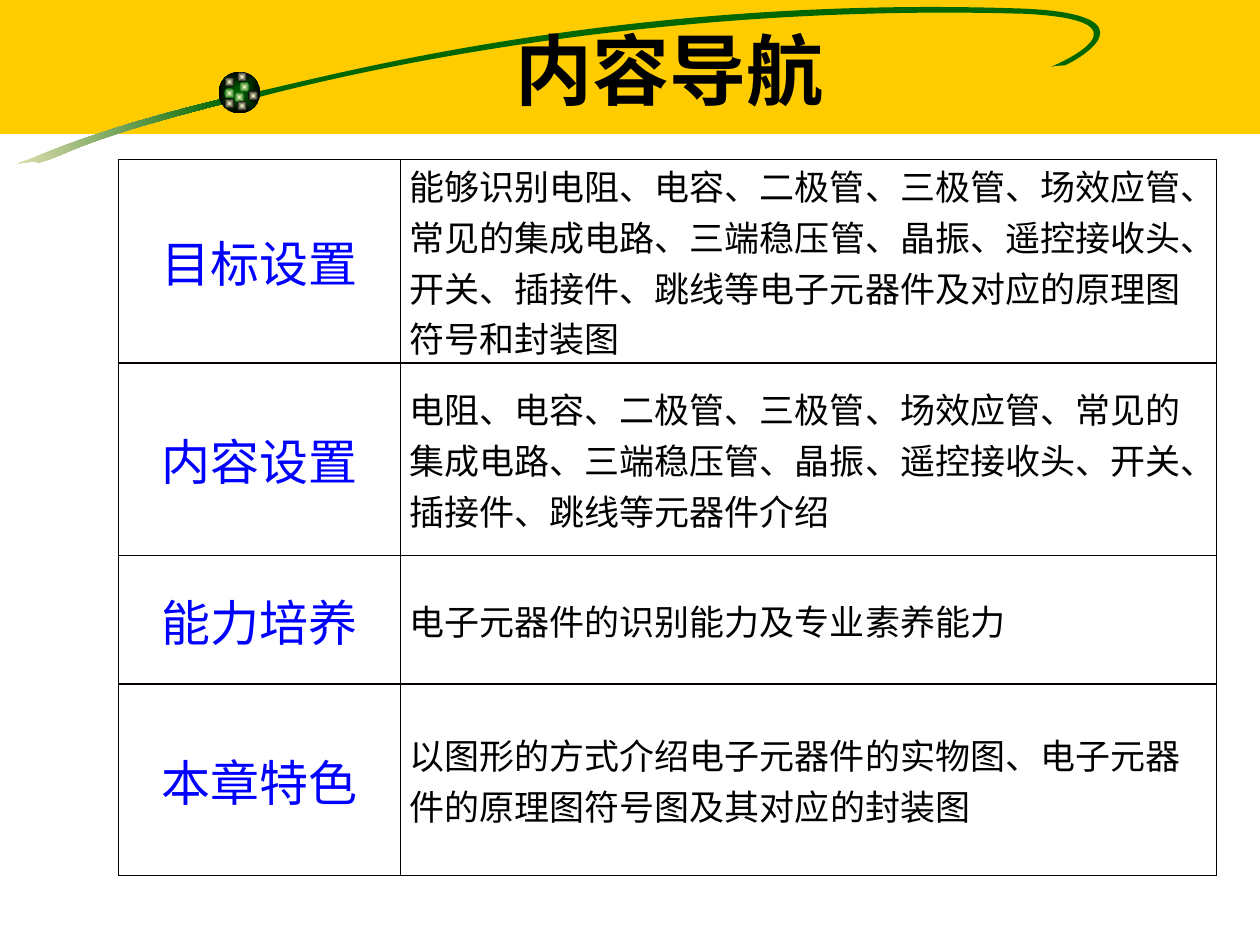
import math
import pptx
import pptx.util
import pptx.dml.color
import pptx.enum.lang
import pptx.enum.shapes
import pptx.enum.text
import pptx.oxml
import pptx.oxml.ns

Pt = pptx.util.Pt
RGB = pptx.dml.color.RGBColor
KIND = pptx.enum.shapes.MSO_SHAPE
ALIGN = pptx.enum.text.PP_ALIGN
MIDDLE = pptx.enum.text.MSO_ANCHOR.MIDDLE
CHINESE = pptx.enum.lang.MSO_LANGUAGE_ID.SIMPLIFIED_CHINESE
qn = pptx.oxml.ns.qn
NS = 'xmlns:a="http://schemas.openxmlformats.org/drawingml/2006/main"'

GOLD = RGB(0xFF, 0xCC, 0x00)
GREEN = RGB(0x00, 0x66, 0x00)
CREAM = RGB(0xF5, 0xEB, 0xC1)
PALE = RGB(0xFF, 0xFF, 0xCC)
BLACK = RGB(0, 0, 0)
BLUE = RGB(0, 0, 0xFF)
BORDER = RGB(0x08, 0, 0)
SERIF = "Times New Roman"
SANS = "Noto Sans CJK SC"

TITLE = "内容导航"
ROWS = [
    ("目标设置", "能够识别电阻、电容、二极管、三极管、场效应管、常见|的|集成电路、三端稳压管、晶振、"
     "遥控接收头、开关、插接件、跳线等电子元器件及对应的原理图符号和封装|图", 116.3),
    ("内容设置", "电阻、电容、二极管、三极管、场效应管、常见|的|集成电路、三端稳压管、晶振、"
     "遥控接收头、开关、插接件、跳线等元器件介绍", 110),
    ("能力培养", "电子元器件的识别能力及专业素养能力", 73.5),
    ("本章特色", "以图形的方式介绍电子元器件的实物图、|电子元器件的原理图|符号图及其对应的封装|图", 109.4),
]
COLS = (161.3, 466.3)
TURN = 8.5
TAIL = [(128.2, 56.2), (65.5, 71.3, 35.3, 83.5, 18, 90.7),
        (0.7, 96.5, 18.7, 90.7, 22.3, 92.9),
        (41, 87.8, 41, 81.4, 128.9, 59), (128.9, 59, 128.2, 56.2, 128.2, 56.2)]
TAIL_BOX = (-2.2, 65.5, 132.5, 21.6)
SWOOSH = [(145.4, 52.6), (177.1, 46.8, 349.9, -3.6, 586.1, 5),
          (660.2, 8.6, 617, 33.8, 608.4, 37.4),
          (608.4, 37.4, 603.4, 37.4, 600.5, 38.2),
          (607.7, 35.3, 660.2, 11.5, 585.4, 7.9),
          (394.6, 2.2, 230.4, 33.8, 148.3, 55.4),
          (148.3, 55.4, 145.4, 52.6, 145.4, 52.6)]
SWOOSH_BOX = (144.7, -10.8, 515.5, 78.5)
BALL = (124.9, 41, 23.8)
DOT = 5.8
DOTS = [(136.8, 46.8, GREEN), (128.2, 43.9, BLACK), (128.2, 50.4, GREEN),
        (133.9, 52.6, GREEN), (141.8, 51.8, BLACK), (135.4, 57.6, BLACK),
        (128.2, 56.2, BLACK), (135.4, 41, BLACK)]


def plain(shape):
    shape.shadow.inherit = False
    shape.line.fill.background()


def paint(shape, color):
    shape.fill.solid()
    shape.fill.fore_color.rgb = color


def blend(shape, first, last, radial=False):
    shape.fill.gradient()
    shape.fill.gradient_angle = 0
    for stop, color, place in zip(shape.fill.gradient_stops, (first, last), (0, 1)):
        stop.color.rgb = color
        stop.position = place
    if radial:
        lin = shape._element.spPr.find(qn("a:gradFill")).find(qn("a:lin"))
        lin.getparent().replace(lin, pptx.oxml.parse_xml(
            f'<a:path {NS} path="shape"><a:fillToRect l="50000" t="50000" '
            'r="50000" b="50000"/></a:path>'))


def curve(moves, box):
    left, top, wide, tall = box
    cos, sin = math.cos(math.radians(TURN)), math.sin(math.radians(TURN))

    def local(x, y):
        dx, dy = x - left - wide / 2, y - top - tall / 2
        return Pt(wide / 2 + dx * cos - dy * sin), Pt(tall / 2 + dx * sin + dy * cos)

    steps = [[local(*move[i:i + 2]) for i in range(0, len(move), 2)] for move in moves]
    pen = slide.shapes.build_freeform(*steps[0][0])
    pen.add_line_segments([step[-1] for step in steps[1:]], close=True)
    shape = pen.convert_to_shape()
    track = next(shape._element.iter(qn("a:path")))
    track.set("w", str(Pt(wide)))
    track.set("h", str(Pt(tall)))
    start = track[0][0]
    start.set("x", str(steps[0][0][0]))
    start.set("y", str(steps[0][0][1]))
    for line, step in zip(list(track)[1:], steps[1:]):
        pts = "".join(f'<a:pt x="{x}" y="{y}"/>' for x, y in step)
        track.replace(line, pptx.oxml.parse_xml(
            f'<a:cubicBezTo {NS}>{pts}</a:cubicBezTo>'))
    shape.left, shape.top, shape.width, shape.height = map(Pt, box)
    shape.rotation = 360 - TURN
    plain(shape)
    return shape


def disc(x, y, size, first, last):
    shape = slide.shapes.add_shape(KIND.OVAL, Pt(x), Pt(y), Pt(size), Pt(size))
    plain(shape)
    blend(shape, first, last, True)


def style(run, face, size, color, bold=False):
    font = run.font
    font.name, font.size, font.bold = face, Pt(size), bold
    font.color.rgb = color
    font.language_id = CHINESE
    font._element.find(qn("a:latin")).addnext(
        pptx.oxml.parse_xml(f'<a:ea {NS} typeface="{SANS}"/>'))


def frame(cell):
    props = cell._tc.get_or_add_tcPr()
    for i, side in enumerate(("lnL", "lnR", "lnT", "lnB")):
        props.insert(i, pptx.oxml.parse_xml(
            f'<a:{side} {NS} w="{Pt(1)}"><a:solidFill><a:srgbClr val="{BORDER}"/>'
            f'</a:solidFill></a:{side}>'))


def fill_cell(cell, text, size, color, align):
    cell.fill.background()
    cell.vertical_anchor = MIDDLE
    cell.margin_left = cell.margin_right = Pt(5)
    cell.margin_top = cell.margin_bottom = 0
    para = cell.text_frame.paragraphs[0]
    para.alignment = align
    for i, part in enumerate(text.split("|")):
        run = para.add_run()
        run.text = part
        style(run, SANS if i % 2 else SERIF, size, color)
    frame(cell)


deck = pptx.Presentation()
deck.slide_width, deck.slide_height = Pt(720), Pt(540)
slide = deck.slides.add_slide(deck.slide_layouts[6])

band = slide.shapes.add_shape(KIND.RECTANGLE, 0, Pt(-1.5), Pt(720), Pt(78))
plain(band)
paint(band, GOLD)
blend(curve(TAIL, TAIL_BOX), CREAM, GREEN)
paint(curve(SWOOSH, SWOOSH_BOX), GREEN)
disc(*BALL, GREEN, BLACK)
for x, y, edge in DOTS:
    disc(x, y, DOT, PALE, edge)

head = slide.shapes.add_textbox(Pt(76.5), 0, Pt(612), Pt(78.5)).text_frame
head.word_wrap = True
head.vertical_anchor = MIDDLE
head.text = TITLE
head.paragraphs[0].alignment = ALIGN.CENTER
style(head.paragraphs[0].runs[0], "Arial Narrow", 44, BLACK, True)

high = sum(row[2] for row in ROWS)
table = slide.shapes.add_table(len(ROWS), 2, Pt(67.6), Pt(91.2), Pt(sum(COLS)), Pt(high)).table
table.first_row = table.horz_banding = False
for col, wide in zip(table.columns, COLS):
    col.width = Pt(wide)
for i, (name, text, tall) in enumerate(ROWS):
    table.rows[i].height = Pt(tall)
    fill_cell(table.cell(i, 0), name, 28, BLUE, ALIGN.CENTER)
    fill_cell(table.cell(i, 1), text, 20, BLACK, ALIGN.LEFT)

deck.save("out.pptx")
